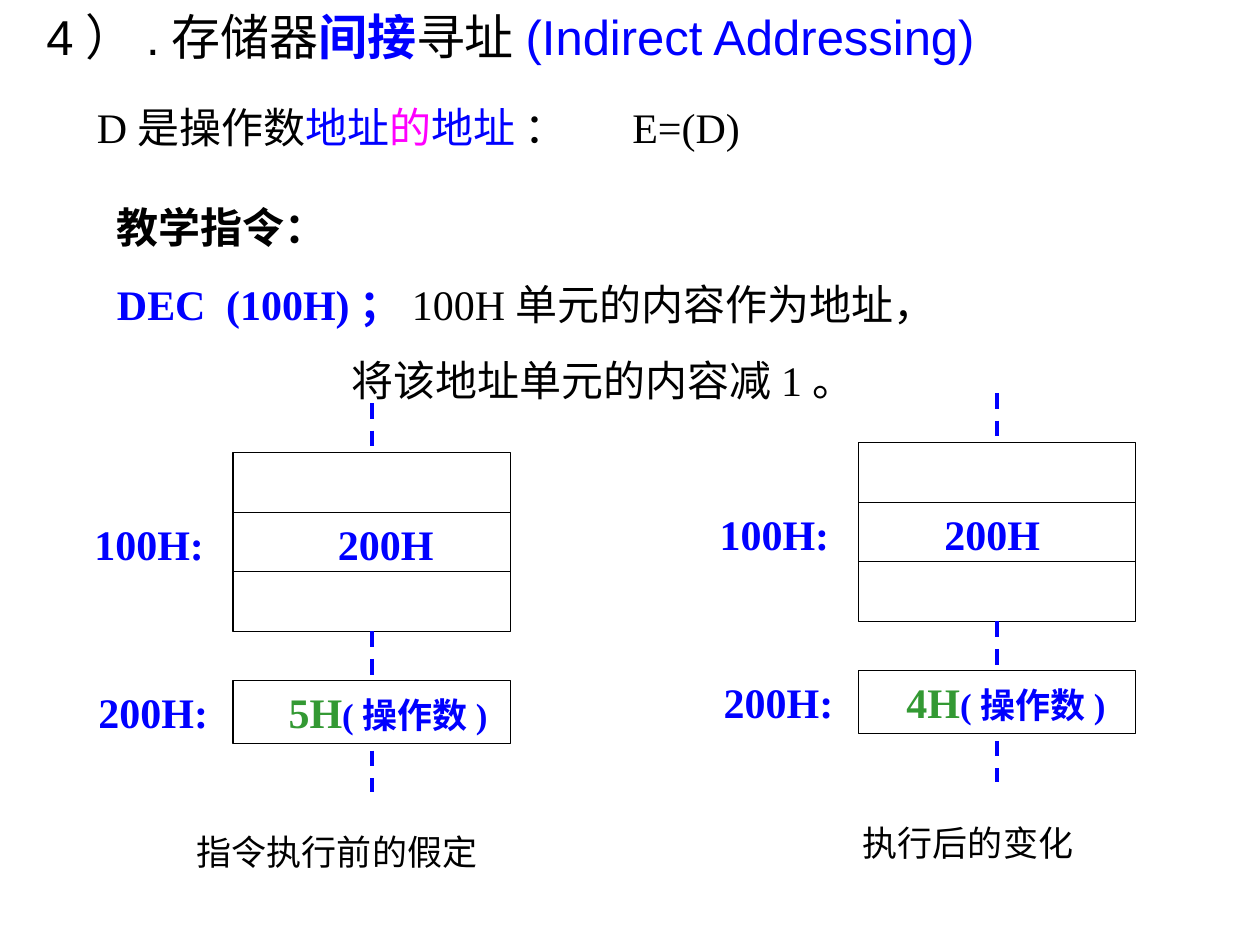
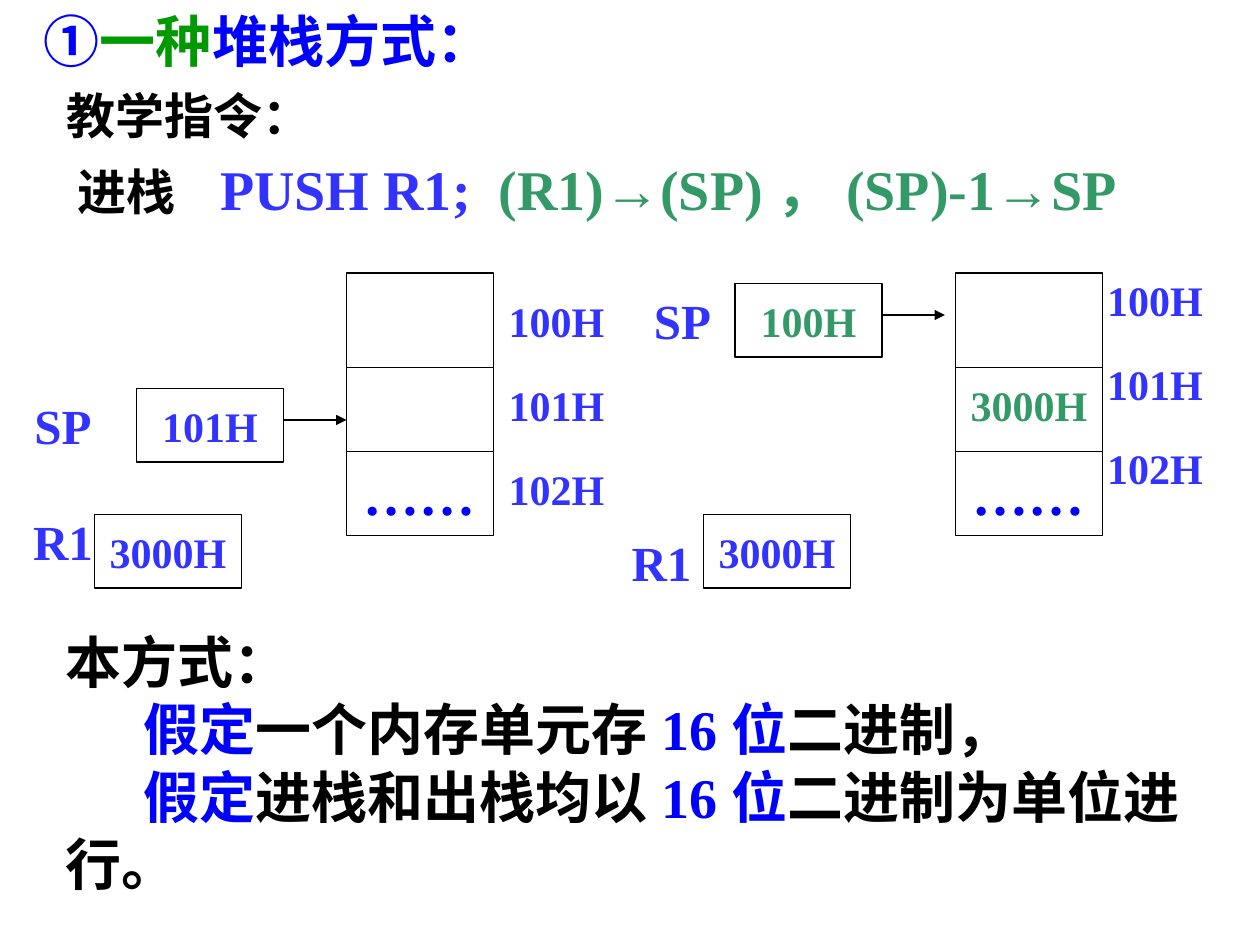
"""Build two lecture slides on indirect addressing and the stack push."""
from lxml import etree
from pptx import Presentation
from pptx import util as u
from pptx.dml.color import RGBColor
from pptx.enum import dml, shapes, text
from pptx.oxml.ns import qn

BLACK = RGBColor(0, 0, 0)
WHITE = RGBColor(255, 255, 255)
BLUE = RGBColor(0, 0, 255)
IRIS = RGBColor(0x33, 0x33, 0xFF)
PINK = RGBColor(255, 0, 255)
GREEN = RGBColor(0, 0x99, 0)
LEAF = RGBColor(0x33, 0x99, 0x33)
SEA = RGBColor(0x33, 0x99, 0x66)
SERIF, SANS = "Times New Roman", "Arial"
COLS, ROWS = 120, 90
WIDE, HIGH = u.Inches(10), u.Inches(7.5)

INDIRECT = [
    ((3.24, 0, 93.6, 7.2), [
        (0, 0, [], [("4）.存储器", 28, BLACK, False, SANS),
                    ("间接", 28, BLUE, True),
                    ("寻址", 28, BLACK, False, SANS),
                    ("(Indirect Addressing)", 28, BLUE, False, SANS)])]),
    ((8.04, 9.12, 70.92, 7.56), [
        (0, 0, [51], [("D是操作数", 24, BLACK, False),
                      ("地址", 24, BLUE, False),
                      ("的", 24, PINK, False),
                      ("地址", 24, BLUE, False),
                      (" ：\tE=(D)", 24, BLACK, False)])]),
    ((9.96, 18.6, 81.24, 20.64), [
        (0, 0, [], [("教学指令：", 24, BLACK, True)]),
        (0, 15, [10.4], [("DEC\t(100H)；", 24, BLUE, True),
                         ("100H单元的内容作为地址，", 24, BLACK, False)]),
        (22.3, 15, [], [("将该地址单元的内容减1。", 24, BLACK, False)])]),
]
STACK = [
    ((3, 0, 113, 24.2), [
        (0, 0, [], [("①", 32, BLUE, True), ("一种", 32, GREEN, True),
                    ("堆栈方式：", 32, BLUE, True)]),
        (2.2, 7, [], [("教学指令：", 28, BLACK, True)]),
        (0, 6, [3.2, 16.8, 43.3], [("\t进栈\t", 28, BLACK, True),
                                   ("PUSH R1;\t", 32, IRIS, True),
                                   ("(R1)→(SP)，(SP)-1→SP", 32, SEA, True)])]),
    ((5.1, 59.2, 112, 20.4), [
        (0, 0, [], [("本方式：", 32, BLACK, True)]),
        (7.4, 0, [], [("假定", 32, BLUE, True),
                      ("一个内存单元存", 32, BLACK, True),
                      ("16位", 32, BLUE, True),
                      ("二进制，", 32, BLACK, True)]),
        (7.4, 0, [], [("假定", 32, BLUE, True),
                      ("进栈和出栈均以", 32, BLACK, True),
                      ("16位", 32, BLUE, True),
                      ("二进制为单位进行。", 32, BLACK, True)])]),
]
MEMORY = [
    {"at": (22.2, 43.1), "value": "5H", "indents": (5.9, 4.1),
     "note": "指令执行前的假定", "box": (12.7, 78.1, 38.8, 6)},
    {"at": (81.75, 42.15), "value": "4H", "indents": (4.1, 3.4),
     "note": "执行后的变化", "box": (76.1, 77.2, 32.2, 6)},
]
PUSH = [
    {"stack": 33, "cell": "", "marks": (47, 27),
     "SP": ((0, 37), (13, 37), "101H", IRIS), "R1": ((0, 48), (9, 49), "3000H", IRIS),
     "arrow": (27, 40, 33, 40)},
    {"stack": 91, "cell": "3000H", "marks": (104, 25),
     "SP": ((59, 27), (70, 27), "100H", SEA), "R1": ((57, 50), (67, 49), "3000H", IRIS),
     "arrow": (84, 30, 90, 30)},
]


def grid(*cells):
    """Turn column and row counts into slide lengths."""
    return [round(n * (HIGH / ROWS if i % 2 else WIDE / COLS))
            for i, n in enumerate(cells)]


def write(shape, paras, mid=False):
    """Fill a shape with paragraphs of indent, space before, tabs and runs."""
    frame = shape.text_frame
    frame.word_wrap = not mid
    frame.vertical_anchor = text.MSO_ANCHOR.MIDDLE if mid else text.MSO_ANCHOR.TOP
    for i, (indent, gap, tabs, runs) in enumerate(paras):
        para = frame.add_paragraph() if i else frame.paragraphs[0]
        para.alignment = text.PP_ALIGN.CENTER if mid else text.PP_ALIGN.LEFT
        props = para._p.get_or_add_pPr()
        if indent:
            props.set("marL", "0")
            props.set("indent", str(grid(indent)[0]))
        if tabs:
            stops = etree.SubElement(props, qn("a:tabLst"))
            for tab in tabs:
                etree.SubElement(stops, qn("a:tab"), pos=str(grid(tab)[0]), algn="l")
        if gap:
            para.space_before = u.Pt(gap)
        for words, size, color, bold, *face in runs:
            run = para.add_run()
            run.text = words
            run.font.size, run.font.bold = u.Pt(size), bold
            run.font.color.rgb = color
            run.font.name = face[0] if face else SERIF


def block(slide, box, paras, mid=False):
    """Add a text box."""
    write(slide.shapes.add_textbox(*grid(*box)), paras, mid)


def label(slide, box, words, size, color, bold=True):
    """Add one centred line of text."""
    block(slide, box, [(0, 0, [], [(words, size, color, bold)])], True)


def cell(slide, box, words="", color=IRIS, size=24):
    """Add a white framed box with an optional centred value."""
    rect = slide.shapes.add_shape(shapes.MSO_SHAPE.RECTANGLE, *grid(*box))
    rect.shadow.inherit = False
    rect.fill.solid()
    rect.fill.fore_color.rgb = WHITE
    rect.line.color.rgb = BLACK
    rect.line.width = u.Pt(0.75)
    if words:
        write(rect, [(0, 0, [], [(words, size, color, True)])], True)
    return rect


def line(slide, ends, dash=False, arrow=False):
    """Add a thin rule, a dashed link or an arrow."""
    link = slide.shapes.add_connector(shapes.MSO_CONNECTOR.STRAIGHT, *grid(*ends))
    etree.SubElement(link._element.spPr, qn("a:effectLst"))
    link.line.color.rgb = BLUE if dash else BLACK
    link.line.width = u.Pt(2.25 if dash else 0.75)
    if dash:
        link.line.dash_style = dml.MSO_LINE.DASH
    if arrow:
        etree.SubElement(link.line._get_or_add_ln(), qn("a:tailEnd"), type="triangle")
    return link


def memory(slide, state):
    """Draw the memory cells of one state."""
    x, y = state["at"]
    wide, high, low = 26.4, 17.04, 21.7
    mid = x + wide / 2
    first, second = state["indents"]
    frame = cell(slide, (x, y, wide, high))
    for row in (1, 2):
        level = y + row * high / 3
        line(slide, (x, level, x + wide, level))
    data = cell(slide, (x, y + low, wide, 6))
    write(data, [(second, 0, [], [(state["value"], 24, LEAF, True),
                                  ("(操作数)", 20, BLUE, True)])])
    block(slide, (x + 2.9, y + 5.7, 20.8, 6),
          [(first, 0, [], [("200H", 24, BLUE, True)])])
    label(slide, (x - 15.1, y + 5.7, 14.2, 6), "100H:", 24, BLUE)
    label(slide, (x - 14.2, y + low, 13.2, 6), "200H:", 24, BLUE)
    for top, end in ((-4.7, -0.6), (28.4, 32.3)):
        line(slide, (mid, y + top, mid, y + end), dash=True)
    link = line(slide, (mid, y + high, mid, y + low), dash=True)
    link.begin_connect(frame, 2)
    link.end_connect(data, 0)
    label(slide, state["box"], state["note"], 20, BLACK, False)


def push(slide, state):
    """Draw the stack and registers of one state."""
    x = state["stack"]
    cell(slide, (x, 43, 14, 8), "……", BLUE, 32)
    cell(slide, (x, 34, 14, 9), state["cell"], SEA)
    cell(slide, (x, 26, 14, 9))
    left, top = state["marks"]
    for i, mark in enumerate(("100H", "101H", "102H")):
        label(slide, (left, top + 8 * i, 12, 7), mark, 24, IRIS)
    for name in ("SP", "R1"):
        spot, box, value, color = state[name]
        label(slide, (*spot, 12, 7), name, 28, IRIS)
        cell(slide, (*box, 14, 7), value, color)
    line(slide, state["arrow"], arrow=True)


def main():
    """Build and save the deck."""
    deck = Presentation()
    deck.slide_width, deck.slide_height = WIDE, HIGH
    for blocks, draw, states in ((INDIRECT, memory, MEMORY), (STACK, push, PUSH)):
        slide = deck.slides.add_slide(deck.slide_layouts[6])
        for box, paras in blocks:
            block(slide, box, paras)
        for state in states:
            draw(slide, state)
    deck.save("out.pptx")


if __name__ == "__main__":
    main()
